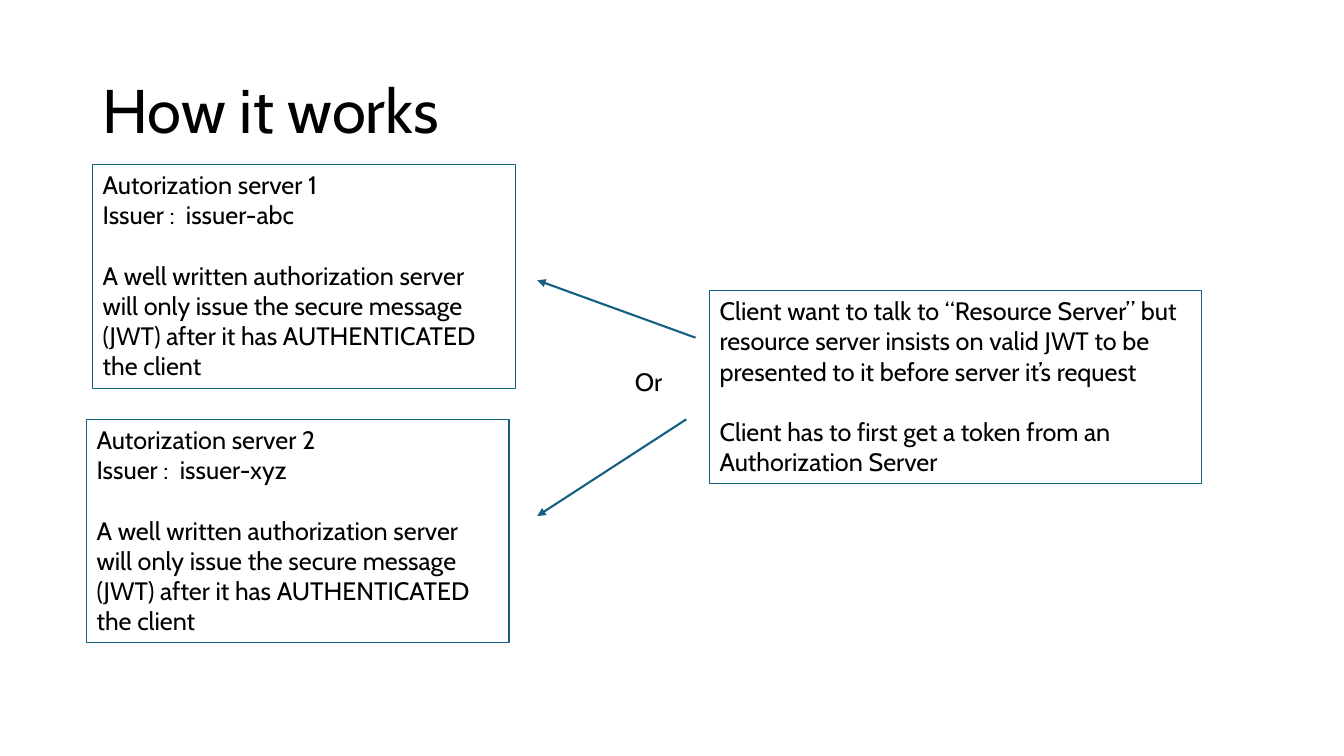
"""Build the "How it works" slide about clients and authorization servers."""
from lxml import etree
from pptx import Presentation
from pptx.dml.color import RGBColor
from pptx.enum import shapes, text
from pptx.oxml import ns
from pptx.util import Pt

THEME = {
    "font": "Cabin",
    "ink": RGBColor.from_string("000000"),
    "accent": RGBColor.from_string("156082"),
    "title": 44,
    "body": 18,
    "gap": 21.6,
    "border": 0.75,
    "arrow": 1.5,
}
SLIDE = (960, 540)
TITLE = ("How it works", (66.24, 28.8, 828, 104.4))
SERVER_SIZE = (301.7, 159.8)
SERVER_NOTE = (
    "A well written authorization server will only issue the secure message "
    "(JWT) after it has AUTHENTICATED the client"
)
SERVERS = [
    ("1", "issuer-abc", (66.24, 117.4)),
    ("2", "issuer-xyz", (61.92, 299.5)),
]
CLIENT = (
    [
        [
            "Client want to talk to “Resource Server” but resource server insists "
            "on valid JWT to be presented to it before server it’s request"
        ],
        ["Client has to first get a token from an Authorization Server"],
    ],
    (506.9, 207.4, 351.4, 138.2),
)
CHOICE = ("Or", (446.4, 257.8, 67, 30.2))
ARROWS = [
    ((496.8, 241.2), (383.8, 200.2)),
    ((490.3, 299.5), (383.8, 368.6)),
]


def write(paragraph, words, size=THEME["body"], before=0, spacing=1.0):
    """Put formatted text into a paragraph."""
    paragraph.alignment = text.PP_ALIGN.LEFT
    paragraph.space_before = Pt(before)
    paragraph.line_spacing = spacing
    span = paragraph.add_run()
    span.text = words
    span.font.name = THEME["font"]
    span.font.size = Pt(size)
    span.font.color.rgb = THEME["ink"]


def add_text_box(page, groups, place, bordered=True):
    """Add a text box whose groups of paragraphs are set one line apart."""
    box = page.shapes.add_textbox(*map(Pt, place))
    frame = box.text_frame
    frame.word_wrap = True
    frame.auto_size = text.MSO_AUTO_SIZE.SHAPE_TO_FIT_TEXT
    if bordered:
        box.line.color.rgb = THEME["accent"]
        box.line.width = Pt(THEME["border"])
    for group_index, group in enumerate(groups):
        for line_index, words in enumerate(group):
            first = group_index == line_index == 0
            paragraph = frame.paragraphs[0] if first else frame.add_paragraph()
            starts_group = group_index > 0 and line_index == 0
            write(paragraph, words, before=THEME["gap"] if starts_group else 0)


def add_arrow(page, start, end):
    """Draw a straight arrow that points at its end."""
    arrow = page.shapes.add_connector(
        shapes.MSO_CONNECTOR.STRAIGHT, *map(Pt, start + end)
    )
    arrow.line.color.rgb = THEME["accent"]
    arrow.line.width = Pt(THEME["arrow"])
    outline = arrow.line._get_or_add_ln()
    etree.SubElement(outline, ns.qn("a:tailEnd"), type="triangle")
    etree.SubElement(arrow._element.spPr, ns.qn("a:effectLst"))


def add_title(page, words, place):
    """Place and format the slide title."""
    title = page.shapes.title
    title.left, title.top, title.width, title.height = map(Pt, place)
    frame = title.text_frame
    frame.auto_size = text.MSO_AUTO_SIZE.NONE
    frame.vertical_anchor = text.MSO_ANCHOR.MIDDLE
    write(frame.paragraphs[0], words, size=THEME["title"], spacing=0.9)


def main():
    """Assemble and save the deck."""
    deck = Presentation()
    deck.slide_width, deck.slide_height = map(Pt, SLIDE)
    page = deck.slides.add_slide(deck.slide_layouts.get_by_name("Title Only"))
    add_title(page, *TITLE)
    for number, issuer, corner in SERVERS:
        heading = [f"Autorization server {number}", f"Issuer :  {issuer}"]
        add_text_box(page, [heading, [SERVER_NOTE]], corner + SERVER_SIZE)
    add_text_box(page, *CLIENT)
    for start, end in ARROWS:
        add_arrow(page, start, end)
    choice, place = CHOICE
    add_text_box(page, [[choice]], place, bordered=False)
    deck.save("out.pptx")


if __name__ == "__main__":
    main()
